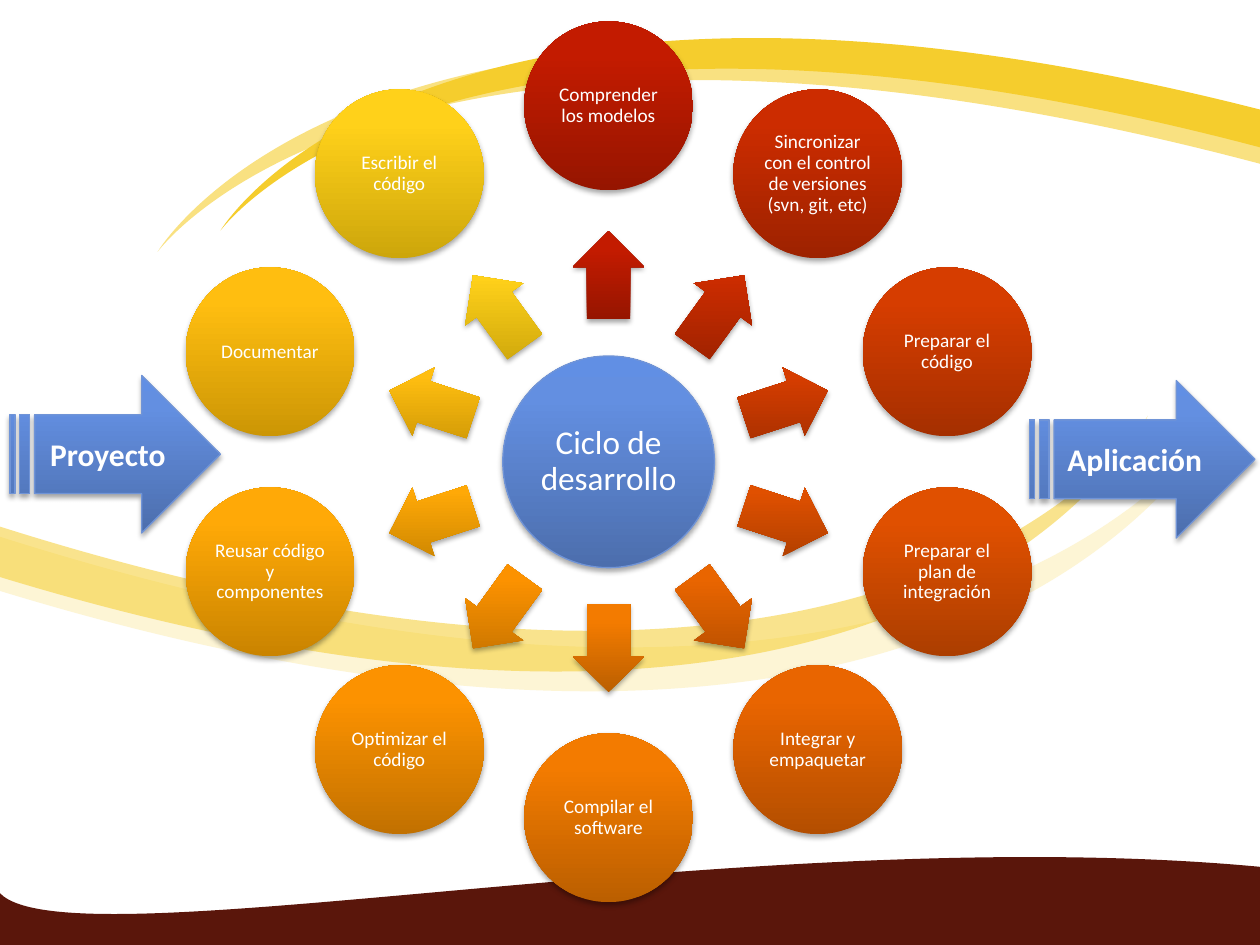
import copy
import dataclasses
import math

import lxml.etree
import pptx
import pptx.dml.color
import pptx.enum.shapes
import pptx.enum.text
import pptx.oxml.ns
import pptx.util

COLUMNS, ROWS = 10, 7.5
CENTER = (4.83, 7.33 / 2)
HUB_SIZE, STEP_SIZE = 1.68, 1.34
ARROW_WIDTH, ARROW_HEIGHT = 0.7, 0.57
STEP_RADIUS, ARROW_RADIUS = 5.65 / 2, 1.48
SHAPES = pptx.enum.shapes.MSO_SHAPE


@dataclasses.dataclass(frozen=True)
class Gradient:
    bottom: str
    middle: str
    top: str


@dataclasses.dataclass(frozen=True)
class Step:
    label: str
    gradient: Gradient


@dataclasses.dataclass(frozen=True)
class Wave:
    fill: str
    start: tuple[float, float]
    curves: tuple[tuple[float, ...], ...]
    corners: tuple[tuple[float, float], ...] = ()
    opacity: int = 100


@dataclasses.dataclass(frozen=True)
class Flow:
    label: str
    left: float
    top: float
    width: float
    height: float = 1.25


BLUE = Gradient("4C6EAD", "638FE1", "618FE4")
BLUE_LINE = "7094D7"
WHITE = "FFFFFF"

WAVES = (
    Wave("5A160B", (0, 7.09), ((0.56, 7.67, 5.96, 6.5, 10, 6.88), (10, 7.09, 10.01, 7.32, 10.01, 7.54)),
         corners=((0, 7.51),)),
    Wave("FDF5D5", (0, 4.26), ((7.63, 6.68, 9.67, 3.33, 9.67, 3.33), (9.67, 3.33, 7.82, 7.08, 0, 4.69))),
    Wave("F9E181", (10, 1.3), ((3.09, -0.53, 1.25, 2, 1.25, 2), (1.25, 2, 2.92, -0.83, 10, 0.97))),
    Wave("F5CD2D", (10, 1.17), ((3.49, -0.55, 1.75, 1.83, 1.75, 1.83), (1.75, 1.83, 3.33, -0.83, 10, 0.87))),
    Wave("F5CD2D", (0, 4.18), ((7.2, 6.46, 9.11, 3.3, 9.11, 3.3), (9.11, 3.3, 7.37, 6.83, 0, 4.58)),
         opacity=54),
)

STEPS = (
    Step("Comprender los modelos", Gradient("961500", "C31B00", "C41B00")),
    Step("Sincronizar con el control de versiones (svn, git, etc)", Gradient("9D2200", "CC2C00", "CD2C00")),
    Step("Preparar el código", Gradient("A52F00", "D63D00", "D73E00")),
    Step("Preparar el plan de integración", Gradient("AC3E00", "E05000", "E15100")),
    Step("Integrar y empaquetar", Gradient("B44E00", "E96500", "EA6500")),
    Step("Compilar el software", Gradient("BB5F00", "F37B00", "F47C00")),
    Step("Optimizar el código", Gradient("C27100", "FC9200", "FD9300")),
    Step("Reusar código y componentes", Gradient("CA8400", "FFA907", "FFA908")),
    Step("Documentar", Gradient("CC9605", "FFBE10", "FFBE12")),
    Step("Escribir el código", Gradient("CDA60B", "FFD11A", "FFD11B")),
)

FLOWS = (Flow("Proyecto", 0.08, 2.98, 1.67), Flow("Aplicación", 8.17, 3.02, 1.79))


def grid(cells: float) -> pptx.util.Length:
    return pptx.util.Inches(cells)


def color(value: str) -> pptx.dml.color.RGBColor:
    return pptx.dml.color.RGBColor.from_string(value)


def add_child(parent, tag: str, **attributes):
    name = pptx.oxml.ns.qn(tag)
    return lxml.etree.SubElement(parent, name, {key: str(value) for key, value in attributes.items()})


def bend_lines(shape, curve_count: int) -> None:
    lines = list(shape.element.spPr.iter(pptx.oxml.ns.qn("a:lnTo")))
    for index in range(curve_count):
        first, *others = lines[3 * index:3 * index + 3]
        curve = lxml.etree.Element(pptx.oxml.ns.qn("a:cubicBezTo"))
        first.addprevious(curve)
        for line in (first, *others):
            curve.append(line[0])
            line.getparent().remove(line)


def draw_wave(slide, wave: Wave) -> None:
    controls = [curve[k:k + 2] for curve in wave.curves for k in (0, 2, 4)]
    start, *vertices = [(grid(x), grid(y)) for x, y in (wave.start, *controls, *wave.corners)]
    builder = slide.shapes.build_freeform(*start)
    builder.add_line_segments(vertices, close=True)
    shape = builder.convert_to_shape()
    bend_lines(shape, len(wave.curves))
    shape.shadow.inherit = False
    shape.line.fill.background()
    shape.fill.solid()
    shape.fill.fore_color.rgb = color(wave.fill)
    if wave.opacity < 100:
        fill_color = shape.element.spPr.find(".//" + pptx.oxml.ns.qn("a:srgbClr"))
        add_child(fill_color, "a:alpha", val=wave.opacity * 1000)


def paint_gradient(shape, gradient: Gradient) -> None:
    shape.fill.gradient()
    shape.fill.gradient_angle = 90
    element = shape.element.spPr.find(pptx.oxml.ns.qn("a:gradFill"))
    element.set("rotWithShape", "0")
    stop_list = element.find(pptx.oxml.ns.qn("a:gsLst"))
    stop_list.append(copy.deepcopy(stop_list[-1]))
    values = ((0, gradient.bottom), (0.8, gradient.middle), (1, gradient.top))
    for stop, (position, value) in zip(shape.fill.gradient_stops, values):
        stop.position = position
        stop.color.rgb = color(value)


def add_shadow(shape) -> None:
    shape.shadow.inherit = False
    effects = shape.element.spPr.find(pptx.oxml.ns.qn("a:effectLst"))
    shadow = add_child(effects, "a:outerShdw", blurRad=pptx.util.Pt(3.1), dist=pptx.util.Pt(1.8),
                       dir=90 * 60000, rotWithShape=0)
    add_child(add_child(shadow, "a:srgbClr", val="000000"), "a:alpha", val=35000)


def draw_shape(slide, kind, left: float, top: float, width: float, height: float,
               gradient: Gradient, outline: str = ""):
    shape = slide.shapes.add_shape(kind, grid(left), grid(top), grid(width), grid(height))
    paint_gradient(shape, gradient)
    if outline:
        shape.line.color.rgb = color(outline)
        shape.line.width = pptx.util.Pt(0.75)
    else:
        shape.line.fill.background()
    add_shadow(shape)
    return shape


def write_label(shape, text: str, size: float, bold: bool = False) -> None:
    frame = shape.text_frame
    frame.word_wrap = True
    frame.vertical_anchor = pptx.enum.text.MSO_ANCHOR.MIDDLE
    paragraph = frame.paragraphs[0]
    paragraph.text = text
    paragraph.alignment = pptx.enum.text.PP_ALIGN.CENTER
    paragraph.font.name = "Calibri"
    paragraph.font.size = pptx.util.Pt(size)
    paragraph.font.bold = bold
    paragraph.font.color.rgb = color(WHITE)


def draw_circle(slide, center: tuple[float, float], size: float, gradient: Gradient,
                text: str, text_size: float, inset: float, outline: str = "") -> None:
    x, y = center
    shape = draw_shape(slide, SHAPES.OVAL, x - size / 2, y - size / 2, size, size, gradient, outline)
    write_label(shape, text, text_size)
    frame = shape.text_frame
    frame.margin_left = frame.margin_right = frame.margin_top = frame.margin_bottom = grid(inset)
    frame.paragraphs[0].line_spacing = 0.9


def around_center(radius: float, degrees: float) -> tuple[float, float]:
    angle = math.radians(degrees)
    return CENTER[0] + radius * math.cos(angle), CENTER[1] + radius * math.sin(angle)


def draw_step(slide, step: Step, degrees: float) -> None:
    x, y = around_center(ARROW_RADIUS, degrees)
    arrow = draw_shape(slide, SHAPES.RIGHT_ARROW, x - ARROW_WIDTH / 2, y - ARROW_HEIGHT / 2,
                       ARROW_WIDTH, ARROW_HEIGHT, step.gradient)
    arrow.adjustments[0] = 0.6
    arrow.rotation = degrees % 360
    draw_circle(slide, around_center(STEP_RADIUS, degrees), STEP_SIZE, step.gradient, step.label, 11, 0.02)


def draw_flow(slide, flow: Flow) -> None:
    shape = draw_shape(slide, SHAPES.STRIPED_RIGHT_ARROW, flow.left, flow.top,
                       flow.width, flow.height, BLUE, BLUE_LINE)
    write_label(shape, flow.label, 18, bold=True)


def main() -> None:
    presentation = pptx.Presentation()
    presentation.slide_width, presentation.slide_height = grid(COLUMNS), grid(ROWS)
    slide = presentation.slides.add_slide(presentation.slide_layouts[6])
    for wave in WAVES:
        draw_wave(slide, wave)
    draw_circle(slide, CENTER, HUB_SIZE, BLUE, "Ciclo de desarrollo", 19, 0.03, BLUE_LINE)
    for index, step in enumerate(STEPS):
        draw_step(slide, step, index * 360 / len(STEPS) - 90)
    for flow in FLOWS:
        draw_flow(slide, flow)
    presentation.save("out.pptx")


if __name__ == "__main__":
    main()
